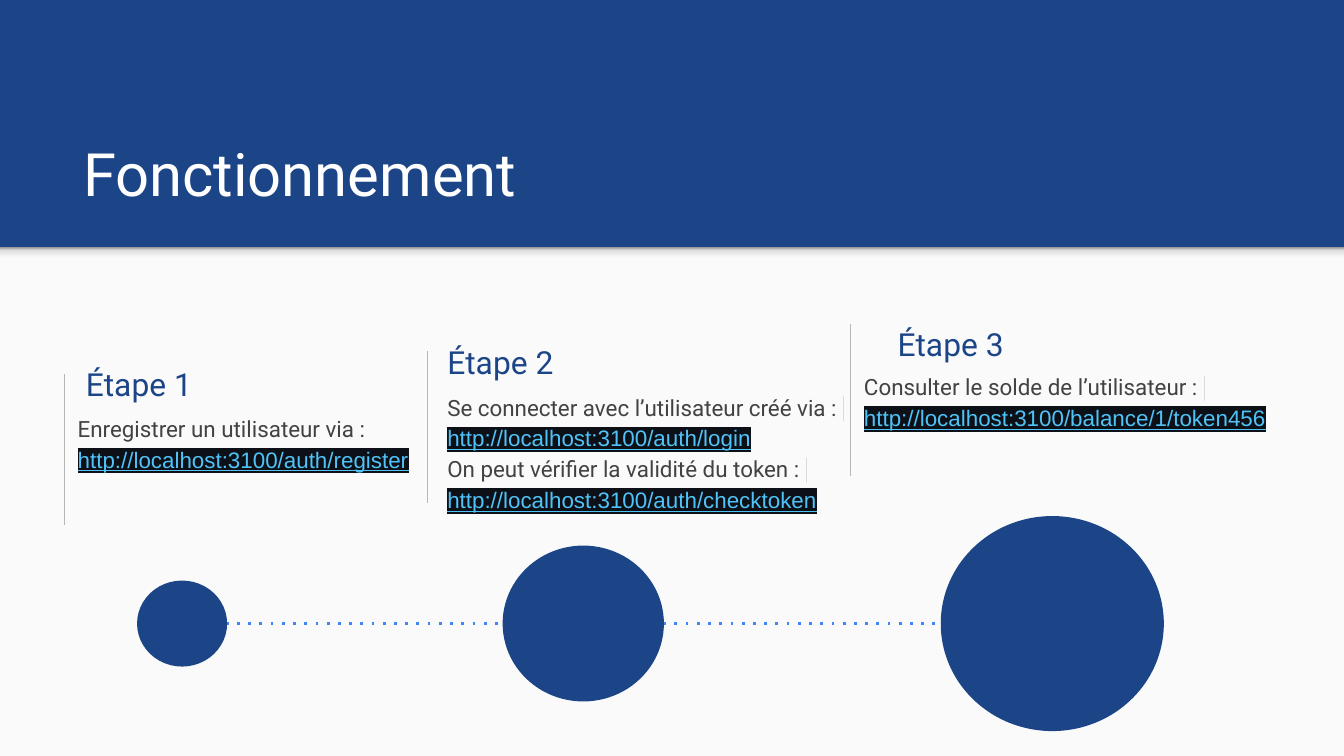
import copy

import lxml.etree
import pptx
import pptx.dml.color
import pptx.enum.dml
import pptx.enum.shapes
import pptx.enum.text
import pptx.oxml.ns
import pptx.util

Inches = pptx.util.Inches
Pt = pptx.util.Pt
Anchor = pptx.enum.text.MSO_ANCHOR
Shape = pptx.enum.shapes.MSO_SHAPE
qn = pptx.oxml.ns.qn

COLORS = {
    "blue": "1C4587", "paper": "FAFAFA", "white": "FFFFFF", "text": "424242",
    "rule": "B7B7B7", "dots": "4285F4", "link": "4FC3F7", "code": "F0F6FC",
    "code_back": "0D1117", "shade_light": "F9F9F9", "shade_mid": "DEDEDE",
    "shade_dark": "999999",
}
SHADOW_STOPS = [(0, "shade_light"), (0.36, "shade_light"), (0.8, "shade_mid"), (1, "shade_dark")]


def rgb(name):
    return pptx.dml.color.RGBColor.from_string(COLORS[name])


class StepSlide:
    heading_font = "Roboto"
    link_font = "Arial"
    body_size = 12

    def __init__(self, slide):
        self.slide = slide
        slide.background.fill.solid()
        slide.background.fill.fore_color.rgb = rgb("blue")

    def shape(self, preset, left, top, width, height, color):
        shape = self.slide.shapes.add_shape(
            preset, Inches(left), Inches(top), Inches(width), Inches(height))
        shape.shadow.inherit = False
        shape.fill.solid()
        shape.fill.fore_color.rgb = rgb(color)
        shape.line.fill.background()
        return shape

    def shadow_band(self, left, top, width, height):
        band = self.shape(Shape.RECTANGLE, left, top, width, height, "paper")
        band.fill.gradient()
        band.fill.gradient_angle = 90
        stop_list = next(band._element.iter(qn("a:gsLst")))
        for _ in range(len(SHADOW_STOPS) - len(stop_list)):
            stop_list.append(copy.deepcopy(stop_list[0]))
        for stop, (position, color) in zip(band.fill.gradient_stops, SHADOW_STOPS):
            stop.position = position
            stop.color.rgb = rgb(color)

    def line(self, start, end, color, width, dash=None):
        line = self.slide.shapes.add_connector(
            pptx.enum.shapes.MSO_CONNECTOR.STRAIGHT,
            *(Inches(value) for value in (*start, *end)))
        line.line.color.rgb = rgb(color)
        line.line.width = Pt(width)
        if dash:
            outline = line._element.spPr.find(qn("a:ln"))
            lxml.etree.SubElement(outline, qn("a:prstDash"), val=dash)
        lxml.etree.SubElement(line._element.spPr, qn("a:effectLst"))

    def paragraph(self, left, top, width, height, anchor):
        box = self.slide.shapes.add_textbox(
            Inches(left), Inches(top), Inches(width), Inches(height))
        frame = box.text_frame
        frame.word_wrap = True
        frame.vertical_anchor = anchor
        frame.margin_left = frame.margin_right = Inches(0.1)
        frame.margin_top = frame.margin_bottom = Inches(0.1)
        return frame.paragraphs[0]

    def run(self, paragraph, text, size, color, font, back=None):
        run = paragraph.add_run()
        run.text = text
        run.font.size = Pt(size)
        run.font.name = font
        run.font.color.rgb = rgb(color)
        run.font.underline = color == "link"
        if back:
            highlight = lxml.etree.Element(qn("a:highlight"))
            lxml.etree.SubElement(highlight, qn("a:srgbClr"), val=COLORS[back])
            run._r.rPr.find(qn("a:solidFill")).addnext(highlight)

    def heading(self, text, left, top, width, height, size, color, anchor):
        paragraph = self.paragraph(left, top, width, height, anchor)
        self.run(paragraph, text, size, color, self.heading_font)

    def body(self, parts, left, top, width, height):
        paragraph = self.paragraph(left, top, width, height, Anchor.TOP)
        paragraph.line_spacing = 1.15
        paragraph.space_after = Pt(16)
        for kind, text in parts:
            if kind == "break":
                paragraph.add_line_break()
                lxml.etree.SubElement(
                    paragraph._p[-1], qn("a:rPr"), sz=str(self.body_size * 100))
            elif kind == "text":
                self.run(paragraph, text, self.body_size, kind, self.heading_font)
            else:
                self.run(paragraph, text, self.body_size, kind, self.link_font, "code_back")


STEPS = [
    {"title": "Étape 1", "title_at": (0.54, 2.64), "rule_at": (0.48, 2.78),
     "body_at": (0.48, 2.96), "body_width": 2.7, "circle": (1.02, 0.67, 0.64),
     "parts": [("text", "Enregistrer un utilisateur via : "),
               ("link", "http://localhost:3100/auth/register")]},
    {"title": "Étape 2", "title_at": (3.23, 2.48), "rule_at": (3.18, 2.61),
     "body_at": (3.23, 2.8), "body_width": 3.24, "circle": (3.74, 1.2, 1.16),
     "parts": [("text", "Se connecter avec l’utilisateur créé via : "),
               ("code", " "),
               ("link", "http://localhost:3100/auth/login"),
               ("break", ""),
               ("text", "On peut vérifier la validité du token : "),
               ("code", " "),
               ("link", "http://localhost:3100/auth/checktoken"),
               ("text", " ")]},
    {"title": "Étape 3", "title_at": (6.58, 2.34), "rule_at": (6.33, 2.41),
     "body_at": (6.33, 2.65), "body_width": 3.21, "circle": (7, 1.66, 1.6),
     "parts": [("text", "Consulter le solde de l’utilisateur : "),
               ("code", " "),
               ("link", "http://localhost:3100/balance/1/token456")]},
]
SLIDE_WIDTH = 10
SLIDE_HEIGHT = SLIDE_WIDTH * 9 / 16
BANNER_HEIGHT = 1.84
RULE_HEIGHT = 1.13
CIRCLE_AXIS = 4.64


def main():
    deck = pptx.Presentation()
    deck.slide_width = Inches(SLIDE_WIDTH)
    deck.slide_height = Inches(SLIDE_HEIGHT)
    page = StepSlide(deck.slides.add_slide(deck.slide_layouts[6]))

    page.shape(Shape.RECTANGLE, 0, BANNER_HEIGHT, SLIDE_WIDTH,
               SLIDE_HEIGHT - BANNER_HEIGHT, "paper")
    page.shadow_band(0, BANNER_HEIGHT, SLIDE_WIDTH, 0.12)
    page.heading("Fonctionnement", 0.52, 0.81, 8.99, 0.84, 32, "white", Anchor.BOTTOM)

    for step in STEPS:
        rule_x, rule_top = step["rule_at"]
        page.line((rule_x, rule_top), (rule_x, rule_top + RULE_HEIGHT), "rule", 0.75)
        page.heading(step["title"], *step["title_at"], 1.98, 0.43, 17, "blue", Anchor.MIDDLE)
        page.body(step["parts"], *step["body_at"], step["body_width"], 0.63)

    page.line((1.68, CIRCLE_AXIS), (7, CIRCLE_AXIS), "dots", 1.5, "dot")
    for step in STEPS:
        left, width, height = step["circle"]
        page.shape(Shape.OVAL, left, CIRCLE_AXIS - height / 2, width, height, "blue")

    deck.save("out.pptx")


if __name__ == "__main__":
    main()
